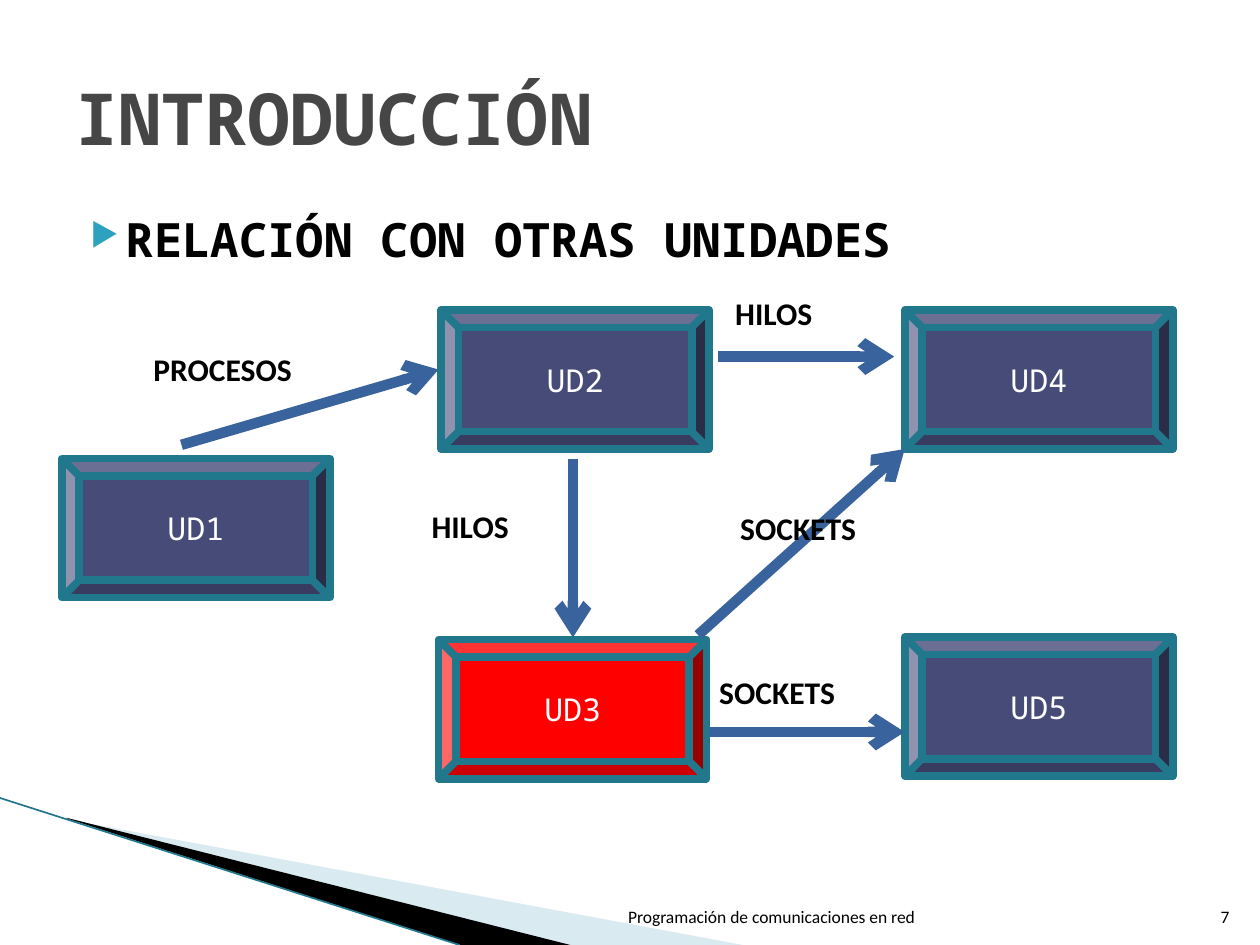
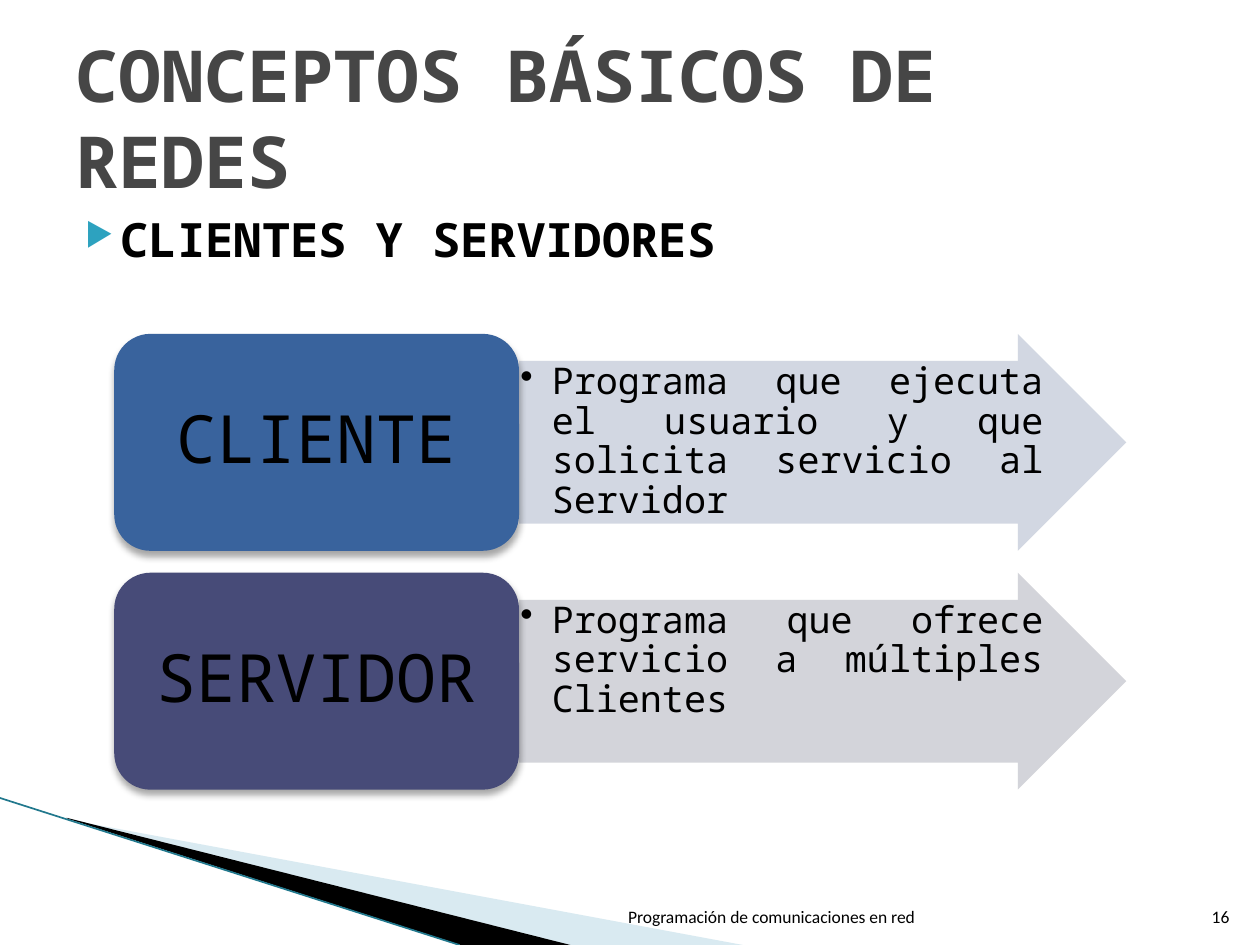
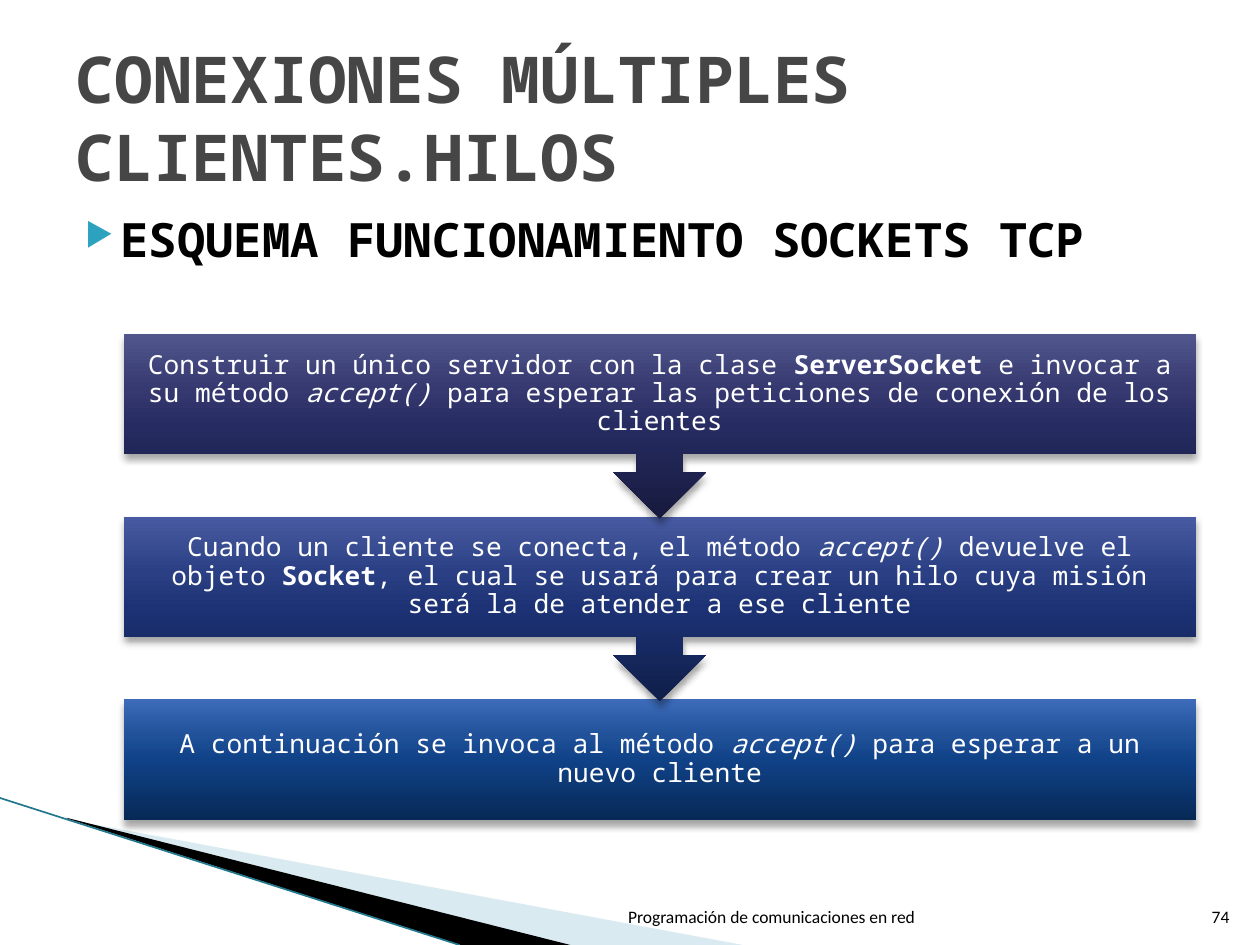
import copy

import lxml.etree
import pptx
import pptx.dml.color
import pptx.enum.shapes
import pptx.enum.text
import pptx.oxml.ns
import pptx.util

Pt = pptx.util.Pt
rgb = pptx.dml.color.RGBColor.from_string
SHAPE = pptx.enum.shapes.MSO_SHAPE
STRAIGHT = pptx.enum.shapes.MSO_CONNECTOR.STRAIGHT
ALIGN = pptx.enum.text.PP_ALIGN
ANCHOR = pptx.enum.text.MSO_ANCHOR

MONO = "Noto Sans Mono"
SANS = "Calibri"
COLORS = {
    "title": "464646",
    "black": "000000",
    "white": "FFFFFF",
    "bullet": "2DA2BF",
    "pale": "A0CBDC",
    "teal": "21788D",
    "indigo": "474B78",
    "red": "FF0000",
    "blue": "39639D",
    "client_arrow": "CED3DF",
    "server_arrow": "CFD0D6",
}


def sub(parent, tag, **attrs):
    values = {k: str(v) for k, v in attrs.items()}
    return lxml.etree.SubElement(parent, pptx.oxml.ns.qn("a:" + tag), values)


def write(shape, runs, size, color, font=MONO, bold=False, align=ALIGN.LEFT,
          anchor=ANCHOR.TOP, inset=(7.2, 3.6, 7.2, 3.6), spacing=None):
    tf = shape.text_frame
    tf.word_wrap = True
    tf.auto_size = pptx.enum.text.MSO_AUTO_SIZE.NONE
    tf.vertical_anchor = anchor
    tf.margin_left, tf.margin_top, tf.margin_right, tf.margin_bottom = map(Pt, inset)
    p = tf.paragraphs[0]
    p.alignment = align
    if spacing:
        p.line_spacing = spacing
    for text, style in runs:
        r = p.add_run()
        r.text = text
        r.font.name = font
        r.font.size = Pt(size)
        r.font.bold = bold or style == "b"
        r.font.italic = style == "i"
        r.font.color.rgb = rgb(COLORS[color])
    return p


prs = pptx.Presentation()
prs.slide_width, prs.slide_height = Pt(720), Pt(540)

pages = [
    ("INTRODUCCIÓN", 41, "RELACIÓN CON OTRAS UNIDADES", 36, "7"),
    ("CONCEPTOS BÁSICOS DE REDES", 41, "CLIENTES Y SERVIDORES", 33, "16"),
    ("CONEXIONES MÚLTIPLES CLIENTES.HILOS", 36.9,
     "ESQUEMA FUNCIONAMIENTO SOCKETS TCP", 33, "74"),
]
wedges = [
    ("pale", 40, [(39.6, 468.5), (424.5, 540), (325.5, 540), (39.6, 468)]),
    ("black", 100, [(38, 467.3), (326, 540), (263.3, 540), (39, 468)]),
]
bullets = []
lines = []
shadowed = []
translucent = []

for title, title_size, heading, heading_left, number in pages:
    s = prs.slides.add_slide(prs.slide_layouts[5])
    for color, alpha, points in wedges:
        points = [(Pt(x), Pt(y)) for x, y in points]
        builder = s.shapes.build_freeform(*points[0])
        builder.add_line_segments(points[1:])
        sp = builder.convert_to_shape()
        sp.shadow.inherit = False
        sp.fill.solid()
        sp.fill.fore_color.rgb = rgb(COLORS[color])
        sp.line.fill.background()
        translucent.append((sp, alpha))
    edge = s.shapes.add_connector(STRAIGHT, Pt(0), Pt(456), Pt(262.6), Pt(540))
    lines.append((edge, "teal", 0.95, False))

    sp = s.shapes.title
    sp.left, sp.top, sp.width, sp.height = Pt(36), Pt(21.6), Pt(648), Pt(90)
    write(sp, [(title, "")], title_size, "title", bold=True, anchor=ANCHOR.MIDDLE)

    sp = s.shapes.add_textbox(Pt(heading_left), Pt(116.8), Pt(648), Pt(50))
    p = write(sp, [(heading, "")], 27, "black", bold=True, align=ALIGN.JUSTIFY)
    p.space_before = Pt(4)
    bullets.append((p, "▶", 28.8, 20.2, "bullet", 68))

    for text, left, width in [
        ("Programación de comunicaciones en red", 344.9, 185),
        (number, 680.8, 28.8),
    ]:
        sp = s.shapes.add_textbox(Pt(left), Pt(504.7), Pt(width), Pt(28.8))
        write(sp, [(text, "")], 10, "black", SANS, align=ALIGN.RIGHT,
              anchor=ANCHOR.BOTTOM)

units_slide, roles_slide, steps_slide = prs.slides

s = units_slide
for text, left, top, color in [
    ("UD1", 35.3, 262, "indigo"),
    ("UD2", 252, 177.1, "indigo"),
    ("UD3", 250.6, 365.5, "red"),
    ("UD4", 517, 177.1, "indigo"),
    ("UD5", 517, 364, "indigo"),
]:
    sp = s.shapes.add_shape(SHAPE.BEVEL, Pt(left), Pt(top), Pt(153.2), Pt(79.5))
    sp.shadow.inherit = False
    sp.fill.solid()
    sp.fill.fore_color.rgb = rgb(COLORS[color])
    sp.line.color.rgb = rgb(COLORS["teal"])
    sp.line.width = Pt(4.33)
    write(sp, [(text, "")], 18, "white", align=ALIGN.CENTER, anchor=ANCHOR.MIDDLE)

for ends in [
    (103.7, 254.2, 250.6, 211.2),
    (410.4, 203.8, 511, 203.8),
    (327.4, 262.1, 327.4, 364.3),
    (398.9, 362.9, 517, 256.6),
    (405.4, 418.3, 517, 418.3),
]:
    arrow = s.shapes.add_connector(STRAIGHT, *map(Pt, ends))
    lines.append((arrow, "blue", 6, True))

for text, left, top in [
    ("PROCESOS", 80.6, 196.6),
    ("HILOS", 413, 164.6),
    ("HILOS", 239.5, 286.3),
    ("SOCKETS", 415.9, 287.3),
    ("SOCKETS", 403.9, 381.3),
]:
    sp = s.shapes.add_textbox(Pt(left), Pt(top), Pt(120), Pt(28.8))
    write(sp, [(text, "")], 18, "black", SANS, bold=True)

s = roles_slide
roles = [
    ("CLIENTE", "blue", "client_arrow",
     "Programa que ejecuta el usuario y que solicita servicio al Servidor"),
    ("SERVIDOR", "indigo", "server_arrow",
     "Programa que ofrece servicio a múltiples Clientes"),
]
for i, (role, role_color, arrow_color, text) in enumerate(roles):
    top = Pt(190.8 + 136.5 * i)
    arrow = s.shapes.add_shape(SHAPE.RIGHT_ARROW, Pt(296.6), top, Pt(347), Pt(124))
    arrow.adjustments[0] = 0.75
    box = s.shapes.add_shape(SHAPE.ROUNDED_RECTANGLE, Pt(65.3), top, Pt(231.3), Pt(124))
    for sp, color in [(arrow, arrow_color), (box, role_color)]:
        sp.shadow.inherit = False
        sp.fill.solid()
        sp.fill.fore_color.rgb = rgb(COLORS[color])
        sp.line.fill.background()
    p = write(arrow, [(text, "")], 21, "black", align=ALIGN.JUSTIFY,
              inset=(0.75, 1, 0.75, 0.75), spacing=0.9)
    bullets.append((p, "•", 18, 18, "black", 100))
    translucent.append((arrow, 90))
    write(box, [(role, "")], 38, "black", align=ALIGN.CENTER,
          anchor=ANCHOR.MIDDLE, spacing=0.9)
    shadowed.append(box)

s = steps_slide
steps = [
    (SHAPE.DOWN_ARROW_CALLOUT, 105.6, ["171A3D", "262B61", "353970", "51568D"], [
        ("Construir un único servidor con la clase ", ""),
        ("ServerSocket ", "b"),
        ("e invocar a su método ", ""),
        ("accept()", "i"),
        (" para esperar las peticiones de conexión de los clientes", ""),
    ]),
    (SHAPE.DOWN_ARROW_CALLOUT, 105.6, ["0F1E49", "1C3274", "2B4084", "485BA2"], [
        ("Cuando un cliente se conecta, el método ", ""),
        ("accept()", "i"),
        (" devuelve el objeto ", ""),
        ("Socket", "b"),
        (", el cual se usará para crear un hilo cuya misión será la de atender"
         " a ese cliente", ""),
    ]),
    (SHAPE.RECTANGLE, 68.9, ["072956", "104288", "205199", "3D6BB9"], [
        ("A continuación se invoca al método ", ""),
        ("accept()", "i"),
        (" para esperar a un nuevo cliente", ""),
    ]),
]
for i, (kind, height, shades, runs) in reversed(list(enumerate(steps))):
    sp = s.shapes.add_shape(kind, Pt(70.6), Pt(190.8 + 104.4 * i), Pt(612.7), Pt(height))
    sp.shadow.inherit = False
    sp.line.fill.background()
    sp.fill.gradient()
    sp.fill.gradient_angle = 90
    stops = sp._element.spPr.find(".//" + pptx.oxml.ns.qn("a:gsLst"))
    for _ in range(2):
        stops.append(copy.deepcopy(stops[0]))
    for stop, position, shade in zip(sp.fill.gradient_stops, (0, 0.5, 0.7, 1), shades):
        stop.position = position
        stop.color.rgb = rgb(shade)
    write(sp, runs, 15, "white", align=ALIGN.CENTER, anchor=ANCHOR.MIDDLE,
          inset=(8.6, 8.6, 8.6, 8.6), spacing=0.9)
    shadowed.append(sp)

for p, char, margin, hanging, color, percent in bullets:
    pPr = p._p.get_or_add_pPr()
    pPr.set("marL", str(Pt(margin)))
    pPr.set("indent", str(-Pt(hanging)))
    sub(sub(pPr, "buClr"), "srgbClr", val=COLORS[color])
    sub(pPr, "buSzPct", val=percent * 1000)
    sub(pPr, "buFont", typeface="OpenSymbol")
    sub(pPr, "buChar", char=char)

for line, color, width, has_head in lines:
    line.line.color.rgb = rgb(COLORS[color])
    line.line.width = Pt(width)
    if has_head:
        sub(line.line._get_or_add_ln(), "tailEnd", type="arrow")
    sub(line._element.spPr, "effectLst")

for sp, alpha in translucent:
    color = sp._element.spPr.find(".//" + pptx.oxml.ns.qn("a:srgbClr"))
    sub(color, "alpha", val=alpha * 1000)

for sp in shadowed:
    effects = sp._element.spPr.find(pptx.oxml.ns.qn("a:effectLst"))
    shadow = sub(effects, "outerShdw", blurRad=Pt(4), dist=Pt(3), dir=5400000,
                 rotWithShape=0)
    sub(sub(shadow, "srgbClr", val=COLORS["black"]), "alpha", val=35000)

prs.save("out.pptx")
